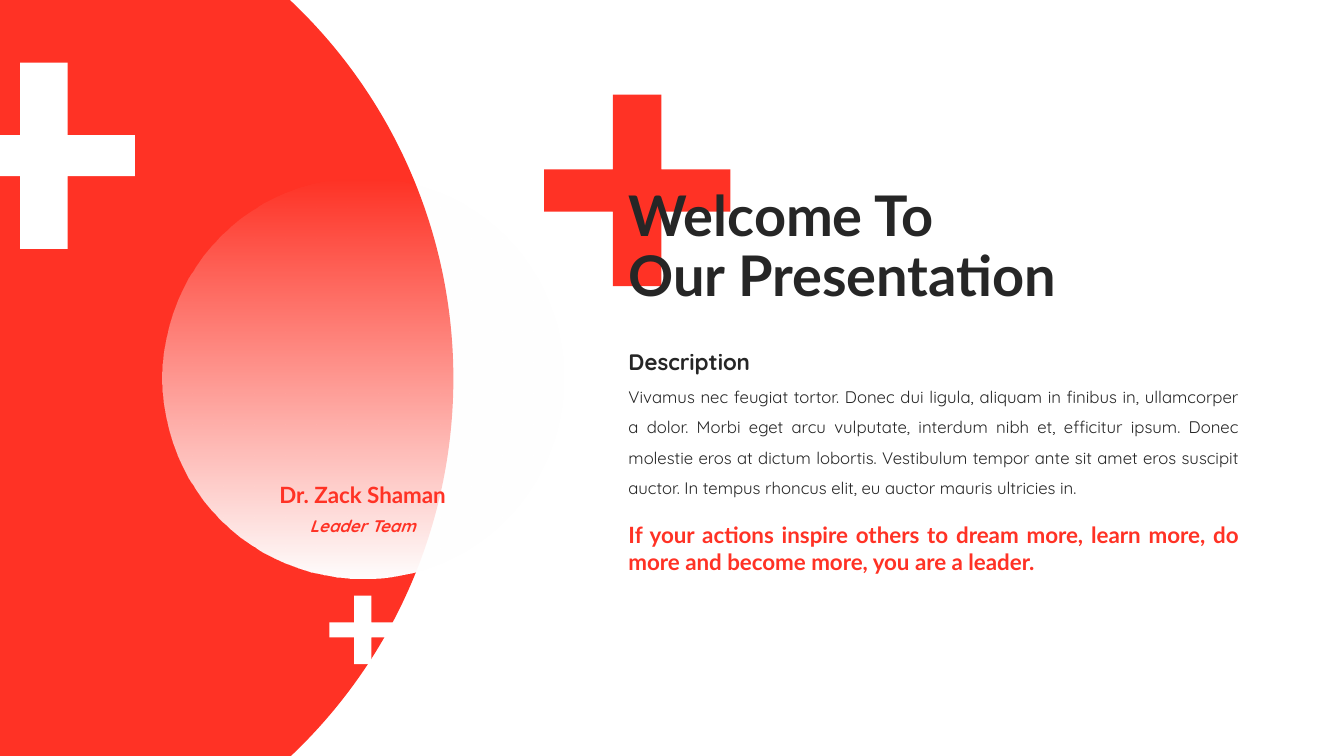
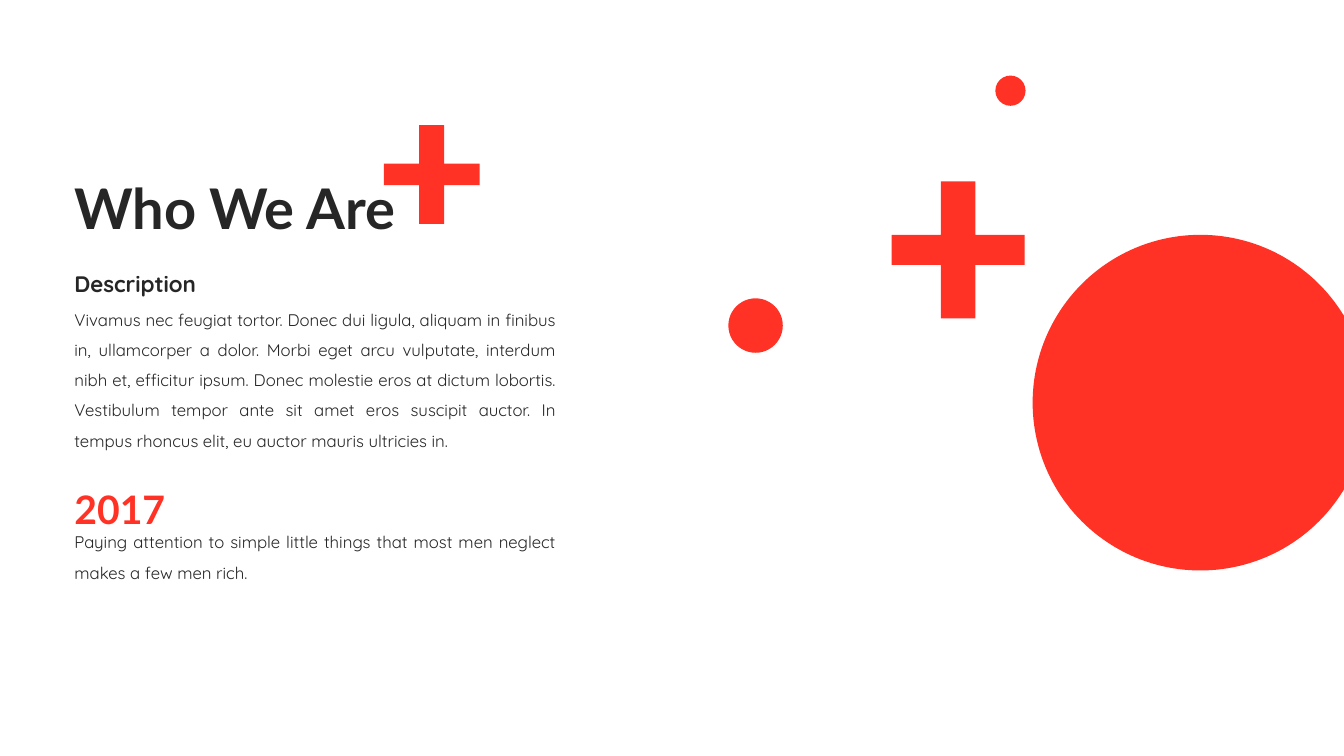
from dataclasses import dataclass
from typing import NamedTuple

from lxml.etree import SubElement
from pptx import Presentation
from pptx.dml.color import RGBColor
from pptx.enum.shapes import MSO_SHAPE
from pptx.enum.text import MSO_ANCHOR, MSO_AUTO_SIZE, PP_ALIGN
from pptx.oxml.ns import qn
from pptx.shapes.base import BaseShape
from pptx.slide import Slide
from pptx.util import Inches, Pt

RED, WHITE, DARK = "FF3225", "FFFFFF", "262626"
HEAD, BODY = "Lato", "Quicksand"
LOREM = (
    "Vivamus nec feugiat tortor. Donec dui ligula, aliquam in finibus in, "
    "ullamcorper a dolor. Morbi eget arcu vulputate, interdum nibh et, "
    "efficitur ipsum. Donec molestie eros at dictum lobortis. Vestibulum "
    "tempor ante sit amet eros suscipit auctor. In tempus rhoncus elit, "
    "eu auctor mauris ultricies in."
)


class Box(NamedTuple):
    left: float
    top: float
    width: float
    height: float


@dataclass(frozen=True)
class Style:
    font: str
    size: int
    color: str
    bold: bool = True
    italic: bool = False
    align: PP_ALIGN = PP_ALIGN.JUSTIFY
    pitch: float = 1.5
    title: bool = False


TITLE = Style(HEAD, 40, DARK, align=PP_ALIGN.LEFT, pitch=0.9, title=True)
LABEL = Style(BODY, 16, DARK)
PROSE = Style(BODY, 12, DARK, bold=False)
QUOTE = Style(HEAD, 16, RED, pitch=1.0)
YEAR = Style(HEAD, 28, RED)
NAME = Style(HEAD, 16, RED, align=PP_ALIGN.CENTER)
ROLE = Style(BODY, 12, RED, italic=True, align=PP_ALIGN.CENTER)


def rgb(code: str) -> RGBColor:
    return RGBColor.from_string(code)


def paint(shape: BaseShape, color: str) -> None:
    """Give the shape a flat fill with no outline or shadow."""
    shape.fill.solid()
    shape.fill.fore_color.rgb = rgb(color)
    shape.line.fill.background()
    shape.shadow.inherit = False


def add_disk(slide: Slide, left: float, top: float, size: float,
             color: str = RED) -> BaseShape:
    disk = slide.shapes.add_shape(
        MSO_SHAPE.OVAL, Inches(left), Inches(top), Inches(size), Inches(size))
    paint(disk, color)
    return disk


def add_plus(slide: Slide, box: Box, color: str = RED) -> None:
    """Draw a plus whose bars are fixed shares of its box."""
    x = [box.left + box.width * part for part in (0, 0.37, 0.63, 1)]
    y = [box.top + box.height * part for part in (0, 0.39, 0.61, 1)]
    steps = [(1, 0), (2, 0), (2, 1), (3, 1), (3, 2), (2, 2),
             (2, 3), (1, 3), (1, 2), (0, 2), (0, 1), (1, 1)]
    points = [(Inches(x[col]), Inches(y[row])) for col, row in steps]
    pen = slide.shapes.build_freeform(*points[0])
    pen.add_line_segments(points[1:], close=True)
    paint(pen.convert_to_shape(), color)


def add_text(slide: Slide, box: Box, style: Style, *lines: str) -> None:
    frame = slide.shapes.add_textbox(*map(Inches, box)).text_frame
    frame.word_wrap = True
    if style.title:
        frame.vertical_anchor = MSO_ANCHOR.MIDDLE
    else:
        frame.auto_size = MSO_AUTO_SIZE.SHAPE_TO_FIT_TEXT
    para = frame.paragraphs[0]
    para.alignment = style.align
    para.line_spacing = style.pitch
    for index, line in enumerate(lines):
        if index:
            para.add_line_break()
        run = para.add_run()
        run.text = line
        font = run.font
        font.name = style.font
        font.size = Pt(style.size)
        font.bold = style.bold
        font.italic = style.italic
        font.color.rgb = rgb(style.color)


def add_about(slide: Slide, left: float, top: float, width: float,
              height: float) -> None:
    """Add the description label and the prose below it."""
    add_text(slide, Box(left, top, 2.96, 0.5), LABEL, "Description")
    add_text(slide, Box(left, top + 0.42, width, height), PROSE, LOREM)


def fade(disk: BaseShape) -> None:
    """Fade the disk from clear at the top to white at the bottom."""
    disk.fill.gradient()
    disk.fill.gradient_angle = 270
    for stop, place in zip(disk.fill.gradient_stops, (0, 1)):
        stop.color.rgb = rgb(WHITE)
        stop.position = place
    first = next(disk.element.iter(qn("a:srgbClr")))
    SubElement(first, qn("a:alpha"), val="0")


def draw_welcome(slide: Slide) -> None:
    left, width = 6.14, 6.26
    add_disk(slide, -5.81, -1.4, 10.31)
    add_plus(slide, Box(5.4, 0.94, 1.85, 1.9))
    add_about(slide, left, 3.27, width, 1.3)
    add_text(slide, Box(left, 5.12, width, 0.64), QUOTE,
             "If your actions inspire others to dream more, learn more, "
             "do more and become more, you are a leader.")
    add_plus(slide, Box(-0.47, 0.62, 1.81, 1.85), WHITE)
    add_text(slide, Box(left, 1.74, 4.86, 1.45), TITLE,
             "Welcome To", "Our Presentation")
    fade(add_disk(slide, 1.61, 1.76, 3.98, WHITE))
    add_text(slide, Box(2.32, 4.59, 2.56, 0.5), NAME, "Dr. Zack Shaman")
    add_text(slide, Box(2.32, 4.97, 2.56, 0.4), ROLE, "Leader Team")
    add_plus(slide, Box(3.27, 5.91, 0.66, 0.68), WHITE)


def draw_about(slide: Slide) -> None:
    left, width = 0.64, 4.98
    add_disk(slide, 10.25, 2.33, 3.33)
    add_about(slide, left, 2.5, width, 1.6)
    add_text(slide, Box(left, 4.53, 1.36, 0.8), YEAR, "2017")
    add_text(slide, Box(left, 5.13, width, 0.7), PROSE,
             "Paying attention to simple little things that most men "
             "neglect makes a few men rich.")
    add_plus(slide, Box(3.81, 1.24, 0.95, 0.98))
    add_text(slide, Box(left, 1.37, 5.09, 1.45), TITLE, "Who We Are")
    add_plus(slide, Box(8.85, 1.8, 1.32, 1.36))
    add_disk(slide, 7.23, 2.96, 0.54)
    add_disk(slide, 9.88, 0.75, 0.3)


def main() -> None:
    deck = Presentation()
    deck.slide_width, deck.slide_height = Inches(13.34), Inches(7.5)
    blank = deck.slide_layouts[6]
    for draw in (draw_welcome, draw_about):
        draw(deck.slides.add_slide(blank))
    deck.save("out.pptx")


if __name__ == "__main__":
    main()
